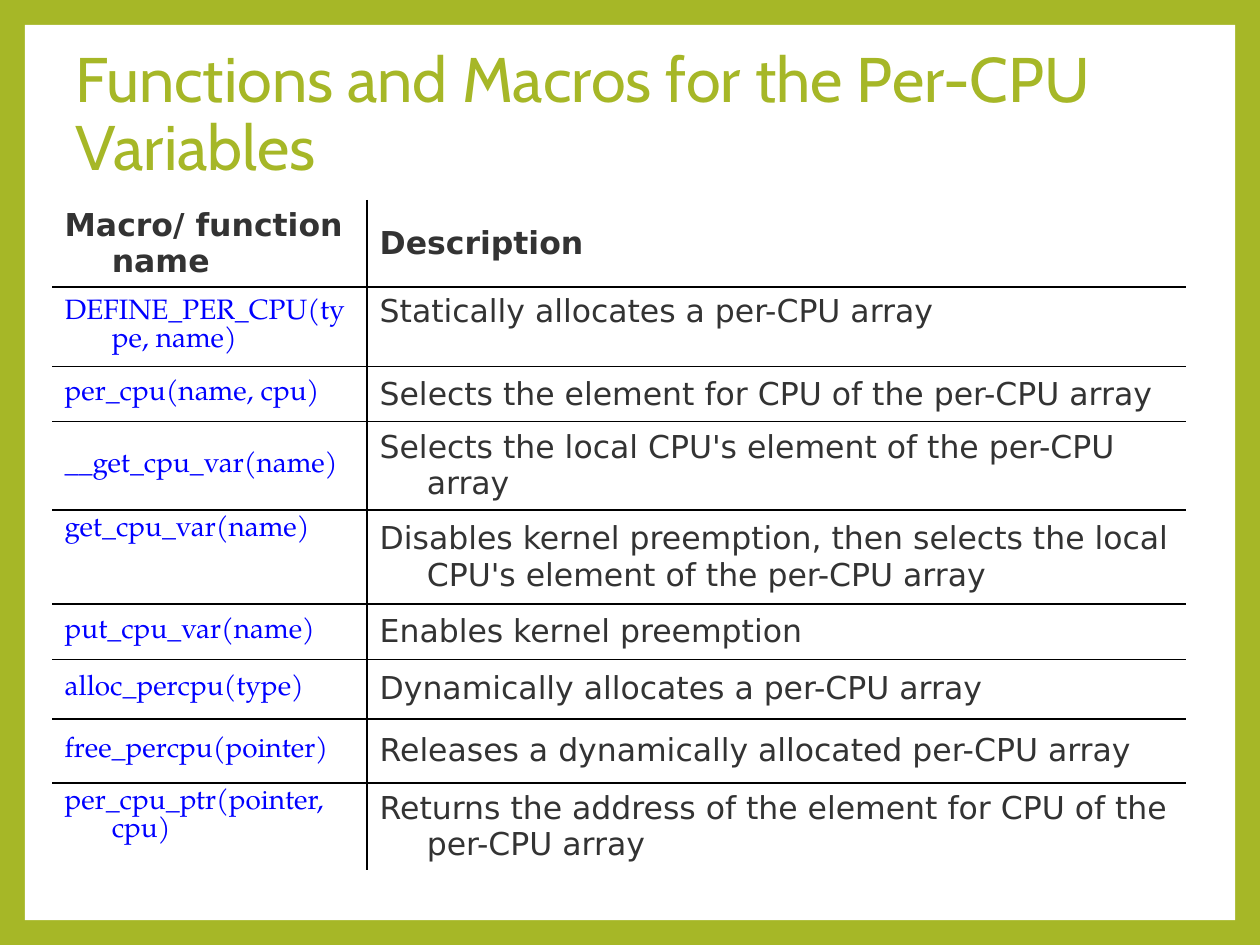
"""Build a slide with a table of the per-CPU functions and macros."""
from lxml import etree
from pptx import Presentation
from pptx.dml.color import RGBColor
from pptx.enum.shapes import MSO_SHAPE
from pptx.enum.text import MSO_ANCHOR, MSO_AUTO_SIZE, PP_ALIGN
from pptx.oxml.ns import qn
from pptx.util import Cm, Pt

GREEN = RGBColor(0xA6, 0xB7, 0x27)
WHITE = RGBColor(0xFF, 0xFF, 0xFF)
BLACK = RGBColor(0x00, 0x00, 0x00)
GREY = RGBColor(0x33, 0x33, 0x33)
BLUE = RGBColor(0x00, 0x00, 0xFF)
RECTANGLE = MSO_SHAPE.RECTANGLE
TOP, MIDDLE = MSO_ANCHOR.TOP, MSO_ANCHOR.MIDDLE
LEFT = PP_ALIGN.LEFT
NO_AUTOFIT = MSO_AUTO_SIZE.NONE

BODY = {"font": "DejaVu Sans", "size": 18, "color": GREY}
CODE = {"font": "TeX Gyre Pagella", "size": 16, "color": BLUE}
HEADER = {**BODY, "bold": True}

COLUMN_WIDTHS = [6.35, 16.51]
ROWS = [
    (1.76, "Macro/ function name", MIDDLE, "Description", MIDDLE),
    (1.6, "DEFINE_PER_CPU(type, name)", MIDDLE,
     "Statically allocates a per-CPU array", TOP),
    (1.11, "per_cpu(name, cpu)", MIDDLE,
     "Selects the element for CPU of the per-CPU array", MIDDLE),
    (1.78, "__get_cpu_var(name)", MIDDLE,
     "Selects the local CPU's element of the per-CPU array", MIDDLE),
    (1.9, "get_cpu_var(name)", TOP,
     "Disables kernel preemption, then selects the local CPU's element of the per-CPU array", MIDDLE),
    (1.11, "put_cpu_var(name)", MIDDLE, "Enables kernel preemption", MIDDLE),
    (1.2, "alloc_percpu(type)", MIDDLE,
     "Dynamically allocates a per-CPU array", MIDDLE),
    (1.29, "free_percpu(pointer)", MIDDLE,
     "Releases a dynamically allocated per-CPU array", MIDDLE),
    (1.76, "per_cpu_ptr(pointer, cpu)", TOP,
     "Returns the address of the element for CPU of the per-CPU array", MIDDLE),
]


def write(tf, text, font, size, color, bold=False, anchor=MIDDLE, indent=0, spacing=None):
    tf.word_wrap = True
    tf.vertical_anchor = anchor
    p = tf.paragraphs[0]
    p.alignment = LEFT
    p.line_spacing = spacing
    if indent:
        pPr = p._p.get_or_add_pPr()
        pPr.set("marL", str(Cm(indent)))
        pPr.set("indent", str(-Cm(indent)))
    r = p.add_run()
    r.text = text
    r.font.name = font
    r.font.size = Pt(size)
    r.font.bold = bold
    r.font.color.rgb = color


def set_borders(cell, visible):
    tcPr = cell._tc.get_or_add_tcPr()
    for i, side in enumerate("LRTB"):
        ln = etree.Element(qn(f"a:ln{side}"), w=str(Pt(1)))
        if side in visible:
            fill = etree.SubElement(ln, qn("a:solidFill"))
            etree.SubElement(fill, qn("a:srgbClr"), val=str(BLACK))
        else:
            etree.SubElement(ln, qn("a:noFill"))
        tcPr.insert(i, ln)


prs = Presentation()
prs.slide_width, prs.slide_height = Cm(25.4), Cm(19.05)
s = prs.slides.add_slide(prs.slide_layouts[5])
s.background.fill.solid()
s.background.fill.fore_color.rgb = GREEN

panel = s.shapes.add_shape(RECTANGLE, Cm(0.5), Cm(0.5), Cm(24.4), Cm(18.05))
panel.shadow.inherit = False
panel.fill.solid()
panel.fill.fore_color.rgb = WHITE
panel.line.fill.background()
s.shapes._spTree.insert(2, panel._element)

title = s.shapes.title
title.left, title.top, title.width, title.height = Cm(1.27), Cm(0.76), Cm(22.86), Cm(3.18)
title.text_frame.auto_size = NO_AUTOFIT
write(title.text_frame, "Functions and Macros for the Per-CPU Variables",
      font="Cabin", size=36, color=GREEN, spacing=0.9)

frame = s.shapes.add_table(len(ROWS), len(COLUMN_WIDTHS), Cm(1.05), Cm(4.03),
                           Cm(sum(COLUMN_WIDTHS)), Cm(sum(row[0] for row in ROWS)))
table = frame.table
table.first_row = table.horz_banding = False
for column, width in zip(table.columns, COLUMN_WIDTHS):
    column.width = Cm(width)

for i, (height, name, name_anchor, description, description_anchor) in enumerate(ROWS):
    table.rows[i].height = Cm(height)
    row_sides = ("T" if i > 0 else "") + ("B" if i < len(ROWS) - 1 else "")
    columns = [(name, name_anchor, CODE, "R"), (description, description_anchor, BODY, "L")]
    for j, (text, anchor, style, side) in enumerate(columns):
        cell = table.cell(i, j)
        cell.fill.background()
        cell.vertical_anchor = anchor
        set_borders(cell, row_sides + side)
        write(cell.text_frame, text, anchor=anchor, indent=0.95,
              **(style if i else HEADER))

prs.save("out.pptx")
